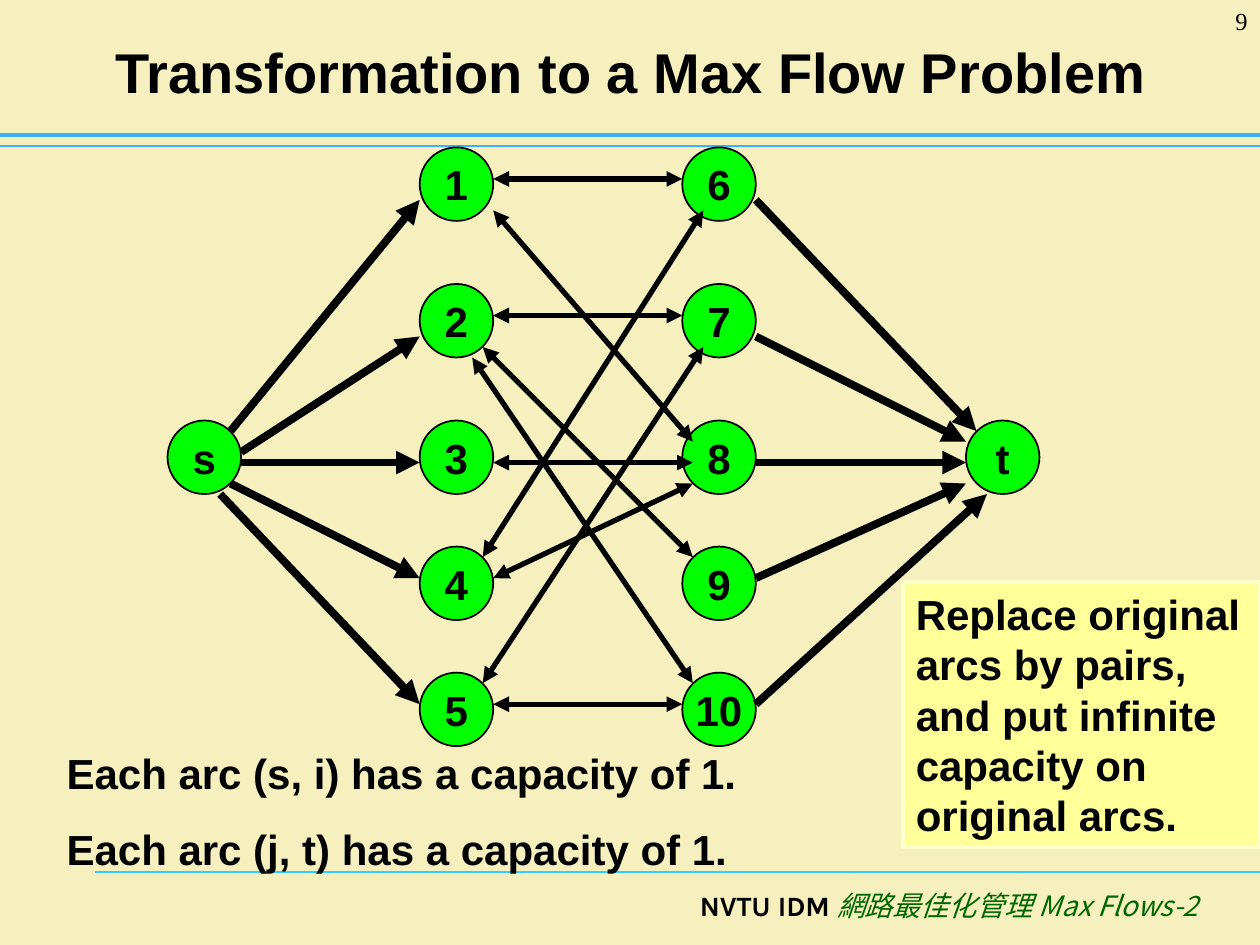
"""Build the slide on turning a matching problem into a max flow problem."""
from dataclasses import dataclass

import pptx
import pptx.dml.color
import pptx.enum.shapes
import pptx.enum.text
import pptx.oxml.ns
import pptx.util
from lxml import etree

Inches = pptx.util.Inches
Pt = pptx.util.Pt
Align = pptx.enum.text.PP_ALIGN
Anchor = pptx.enum.text.MSO_ANCHOR
Shape = pptx.enum.shapes.MSO_SHAPE
qn = pptx.oxml.ns.qn


@dataclass(frozen=True)
class Theme:
    """Colours, fonts and type sizes of the slide."""
    paper: str = "F5F0BD"
    ink: str = "000000"
    node: str = "00FF00"
    note: str = "FFFF99"
    edge: str = "FFFFCC"
    rule: str = "3DB0FF"
    base: str = "33CCFF"
    course: str = "006600"
    sans: str = "Arial"
    serif: str = "Times New Roman"
    brand: str = "Karla"
    asian: str = "Noto Sans CJK SC"
    title: int = 32
    body: int = 24
    foot: int = 16
    page: int = 14


THEME = Theme()
SIDE = 7
COLS = (0, 24, 49, 76)
ROWS = (0, 13, 26, 38, 50)
SOURCE = (((6, 1), (0, 5)), ((7, 3), (0, 5)), ((7, 4), (0, 4)),
          ((6, 6), (0, 3)), ((5, 7), (0, 3)))
SINK = (((7, 5), (1, 1)), ((7, 5), (0, 2)), ((7, 4), (0, 4)),
        ((7, 3), (0, 6)), ((7, 3), (2, 7)))
PAIRS = (("1", (7, 3), "6", (0, 3)), ("1", (7, 6), "8", (1, 2)),
         ("2", (7, 3), "7", (0, 3)), ("2", (6, 6), "9", (1, 1)),
         ("2", (5, 7), "10", (1, 1)), ("3", (7, 4), "8", (1, 4)),
         ("4", (6, 1), "6", (2, 6)), ("4", (7, 3), "8", (1, 6)),
         ("5", (6, 1), "7", (2, 6)), ("5", (7, 3), "10", (0, 3)))


def rgb(code):
    """Return the colour for a hex code."""
    return pptx.dml.color.RGBColor.from_string(code)


def style(font, size, face=THEME.sans, color=THEME.ink, bold=True):
    """Set the look of a font."""
    font.size, font.name, font.bold = Pt(size), face, bold
    font.color.rgb = rgb(color)


def line(slide, start, end, width, color=THEME.ink, head=False, tail=False):
    """Draw a straight line, with arrowheads where asked."""
    item = slide.shapes.add_connector(
        pptx.enum.shapes.MSO_CONNECTOR.STRAIGHT,
        *map(Inches, (*start, *end)))
    item.line.width = Pt(width)
    item.line.color.rgb = rgb(color)
    stroke = item.line._get_or_add_ln()
    for tag, shown in (("a:headEnd", head), ("a:tailEnd", tail)):
        if shown:
            etree.SubElement(stroke, qn(tag), type="triangle")
    etree.SubElement(item._element.spPr, qn("a:effectLst"))


def fill(shape, color, edge, width):
    """Give a shape a flat fill and an outline."""
    shape.shadow.inherit = False
    shape.fill.solid()
    shape.fill.fore_color.rgb = rgb(color)
    shape.line.color.rgb = rgb(edge)
    shape.line.width = Pt(width)


def write(shape, lines, size, align=Align.LEFT, anchor=Anchor.TOP,
          gap=0, wrap=True, **look):
    """Fill a shape with paragraphs of one style."""
    frame = shape.text_frame
    frame.word_wrap = wrap
    frame.vertical_anchor = anchor
    frame.text = "\n".join(lines)
    for para in frame.paragraphs:
        para.alignment = align
        para.space_before = Pt(gap)
        style(para.font, size, **look)


def text(slide, box, lines, size, **look):
    """Place a text box."""
    shape = slide.shapes.add_textbox(*map(Inches, box))
    write(shape, lines, size, **look)


def header(slide, box):
    """Place the title, page number and double rule."""
    left, top, width, height = box
    text(slide, (left + 0.51, top + 0.13, 9, 0.87),
         ["Transformation to a Max Flow Problem"], THEME.title,
         align=Align.CENTER, anchor=Anchor.MIDDLE)
    text(slide, (left + width - 0.83, top, 0.83, 0.5), ["9"], THEME.page,
         align=Align.RIGHT, face=THEME.serif, bold=False)
    for drop, weight in ((0, 0.75), (0.09, 2.5)):
        level = top + height - drop
        line(slide, (left, level), (left + width, level), weight, THEME.rule)


def footer(slide, box):
    """Place the bottom rule with the school and course names."""
    left, top, width, height = box
    line(slide, (left, top), (left + width, top), 0.75, THEME.base)
    shape = slide.shapes.add_textbox(
        *map(Inches, (left + 1.08, top + 0.08, 7.78, height - 0.08)))
    shape.text_frame.word_wrap = True
    para = shape.text_frame.paragraphs[0]
    para.alignment = Align.RIGHT
    school, course = para.add_run(), para.add_run()
    school.text = "NVTU IDM "
    style(school.font, THEME.foot, THEME.brand)
    course.text = "網路最佳化管理 Max Flows-2"
    style(course.font, THEME.foot, THEME.asian, THEME.course, False)
    course.font.italic = True
    etree.SubElement(course.font._element, qn("a:ea"), typeface=THEME.asian)


def network(slide, box):
    """Draw the flow network on a grid that spans the box."""
    left, top, width, _ = box
    unit = width / (COLS[-1] + SIDE)
    spots = {"s": (COLS[0], ROWS[2]), "t": (COLS[3], ROWS[2])}
    for index, row in enumerate(ROWS, 1):
        spots[str(index)] = COLS[1], row
        spots[str(index + len(ROWS))] = COLS[2], row

    def place(name, port=(0, 0)):
        """Return the slide point of a port on a node."""
        col, row = spots[name]
        return left + (col + port[0]) * unit, top + (row + port[1]) * unit

    for name in spots:
        node = slide.shapes.add_shape(
            Shape.OVAL, *map(Inches, (*place(name), SIDE * unit, SIDE * unit)))
        fill(node, THEME.node, THEME.ink, 1)
        write(node, [name], THEME.body, align=Align.CENTER,
              anchor=Anchor.MIDDLE, wrap=False)
    arcs = [("s", out, str(i), into) for i, (out, into) in enumerate(SOURCE, 1)]
    arcs += [(str(j), out, "t", into) for j, (out, into) in enumerate(SINK, 6)]
    for group, weight, both in ((arcs, 4.5, False), (PAIRS, 3, True)):
        for first, out, last, into in group:
            line(slide, place(first, out), place(last, into), weight,
                 head=both, tail=True)


def rules(slide, box):
    """Place the capacity statements."""
    text(slide, box, ["Each arc (s, i) has a capacity of 1.",
                      "Each arc (j, t) has a capacity of 1."],
         THEME.body, gap=15)


def note(slide, box):
    """Place the filled note on the original arcs."""
    shape = slide.shapes.add_shape(Shape.RECTANGLE, *map(Inches, box))
    fill(shape, THEME.note, THEME.edge, 2.25)
    write(shape, ["Replace original arcs by pairs, and put infinite "
                  "capacity on original arcs."], THEME.body, gap=15)


def main():
    """Build and save the deck."""
    deck = pptx.Presentation()
    deck.slide_width, deck.slide_height = Inches(10), Inches(7.5)
    slide = deck.slides.add_slide(deck.slide_layouts[6])
    slide.background.fill.solid()
    slide.background.fill.fore_color.rgb = rgb(THEME.paper)
    footer(slide, (0.75, 6.92, 9.25, 0.58))
    header(slide, (0, 0, 10, 1.16))
    network(slide, (1.33, 1.17, 6.92, 4.75))
    rules(slide, (0.43, 5.88, 5.58, 1.11))
    note(slide, (7.17, 4.62, 2.83, 2.1))
    deck.save("out.pptx")


if __name__ == "__main__":
    main()
